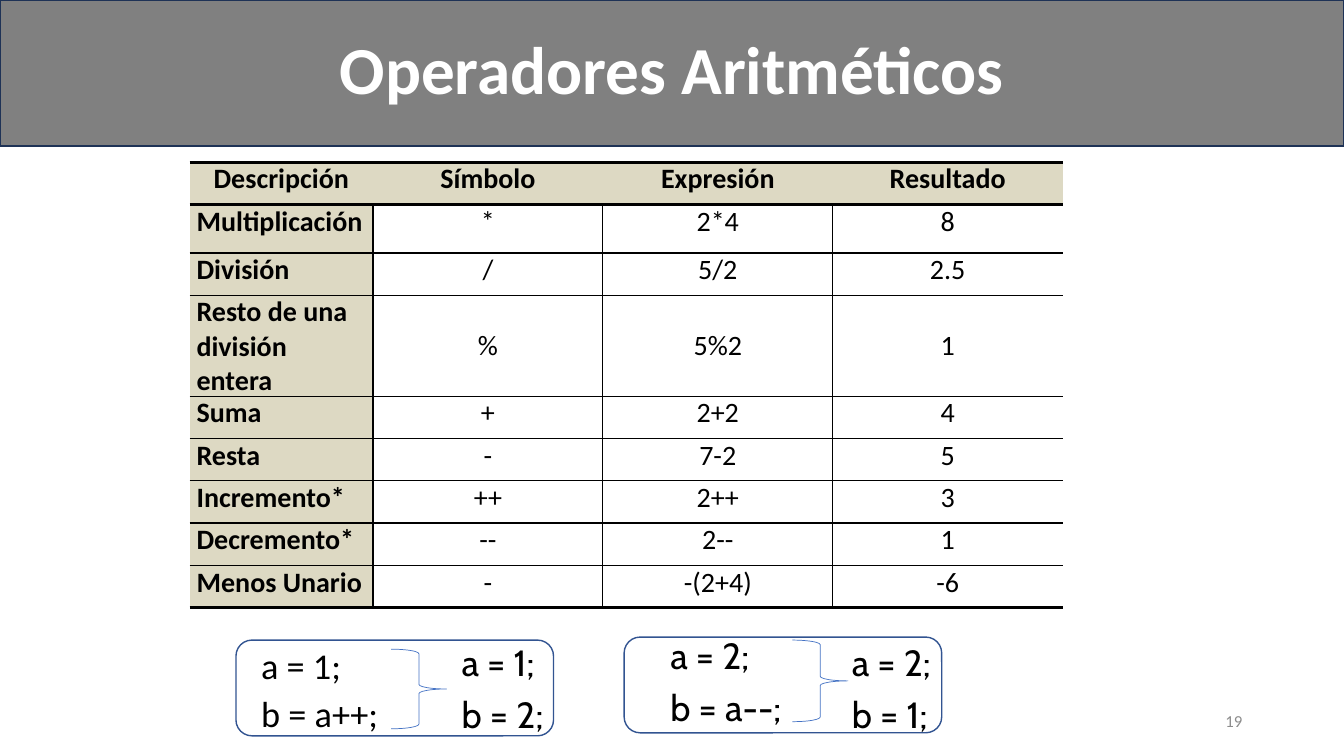
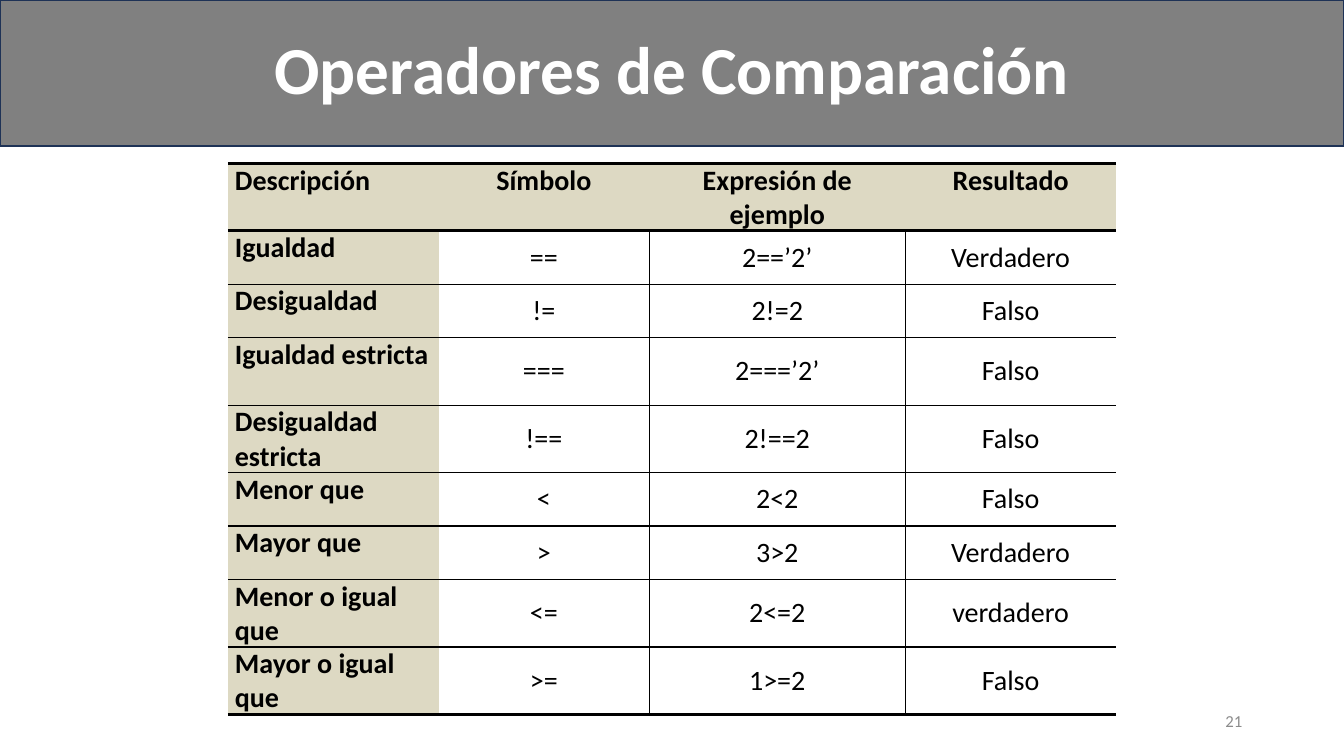
from lxml.etree import SubElement
from pptx import Presentation
from pptx.dml.color import RGBColor
from pptx.enum.shapes import MSO_SHAPE
from pptx.enum.text import MSO_ANCHOR, MSO_AUTO_SIZE, PP_ALIGN
from pptx.oxml.ns import qn
from pptx.util import Emu, Pt

PX = 9144  # 100 px to the inch
WIDTH, HEIGHT = 1333, 750
BAND_HEIGHT = 145

BLACK = RGBColor(0x00, 0x00, 0x00)
WHITE = RGBColor(0xFF, 0xFF, 0xFF)
BAND_GRAY = RGBColor(0x80, 0x80, 0x80)
BAND_EDGE = RGBColor(0x1E, 0x32, 0x56)
HEADER_BEIGE = RGBColor(0xDD, 0xD9, 0xC3)
PANEL_BLUE = RGBColor(0x32, 0x54, 0x91)
BRACE_BLUE = RGBColor(0x44, 0x72, 0xC4)
NUMBER_GRAY = RGBColor(0x8C, 0x8C, 0x8C)

BODY_FONT, CODE_FONT = "Calibri", "Cabin"
THIN, THICK = 1, 2.25
PLAIN_TABLE_STYLE = "{2D5ABB26-0587-4C30-8999-92F81FD0307C}"
TITLE_AND_CONTENT, TITLE_ONLY = 1, 5

ARITHMETIC = [
    ("Descripción", "Símbolo", "Expresión", "Resultado"),
    ("Multiplicación", "*", "2*4", "8"),
    ("División", "/", "5/2", "2.5"),
    ("Resto de una división entera", "%", "5%2", "1"),
    ("Suma", "+", "2+2", "4"),
    ("Resta", "-", "7-2", "5"),
    ("Incremento*", "++", "2++", "3"),
    ("Decremento*", "--", "2--", "1"),
    ("Menos Unario", "-", "-(2+4)", "-6"),
]
COMPARISON = [
    ("Descripción", "Símbolo", "Expresión de ejemplo", "Resultado"),
    ("Igualdad", "==", "2==’2’", "Verdadero"),
    ("Desigualdad", "!=", "2!=2", "Falso"),
    ("Igualdad estricta", "===", "2===’2’", "Falso"),
    ("Desigualdad estricta", "!==", "2!==2", "Falso"),
    ("Menor que", "<", "2<2", "Falso"),
    ("Mayor que", ">", "3>2", "Verdadero"),
    ("Menor o igual que", "<=", "2<=2", "verdadero"),
    ("Mayor o igual que", ">=", "1>=2", "Falso"),
]


def px(*lengths):
    return [Emu(n * PX) for n in lengths]


def place(sp, box):
    sp.left, sp.top, sp.width, sp.height = px(*box)


def write(p, text, size, color=BLACK, font=BODY_FONT, bold=False, align=PP_ALIGN.LEFT):
    p.alignment = align
    r = p.add_run()
    r.text = text
    r.font.name, r.font.size, r.font.bold = font, Pt(size), bold
    r.font.color.rgb = color


def write_lines(tf, lines, size, font, before, spacing=None):
    for i, line in enumerate(lines):
        p = tf.add_paragraph() if i else tf.paragraphs[0]
        p.space_before = Pt(before)
        p.line_spacing = spacing
        write(p, line, size, font=font)


def border(cell, side, width):
    """Draw one cell edge; a width of 0 hides it."""
    ln = SubElement(cell._tc.get_or_add_tcPr(), qn(f"a:ln{side}"), w=str(Pt(width)))
    if width:
        fill = SubElement(ln, qn("a:solidFill"))
        SubElement(fill, qn("a:srgbClr"), val=str(BLACK))
    else:
        SubElement(ln, qn("a:noFill"))


class Deck:
    def __init__(self):
        self.prs = Presentation()
        self.prs.slide_width, self.prs.slide_height = px(WIDTH, HEIGHT)
        self.s = None

    def slide(self, layout, title, number):
        self.s = self.prs.slides.add_slide(self.prs.slide_layouts[layout])
        band = self.s.shapes.title
        place(band, (0, 0, WIDTH, BAND_HEIGHT))
        band.fill.solid()
        band.fill.fore_color.rgb = BAND_GRAY
        band.line.color.rgb = BAND_EDGE
        band.line.width = Pt(1)
        tf = band.text_frame
        tf.auto_size = MSO_AUTO_SIZE.NONE
        tf.vertical_anchor = MSO_ANCHOR.MIDDLE
        p = tf.paragraphs[0]
        p.line_spacing = 0.9
        write(p, title, 48, WHITE, bold=True, align=PP_ALIGN.CENTER)

        tf = self.text_frame((942, 695, 300, 40))
        tf.vertical_anchor = MSO_ANCHOR.MIDDLE
        write(tf.paragraphs[0], str(number), 12, NUMBER_GRAY, align=PP_ALIGN.RIGHT)

    def text_frame(self, box):
        tf = self.s.shapes.add_textbox(*px(*box)).text_frame
        tf.word_wrap = True
        return tf

    def outline(self, kind, box, color, width):
        sp = self.s.shapes.add_shape(kind, *px(*box))
        sp.shadow.inherit = False
        sp.fill.background()
        sp.line.color.rgb = color
        sp.line.width = Pt(width)

    def code(self, box, lines):
        write_lines(self.text_frame(box), lines, 26, CODE_FONT, before=6)

    def body(self, box, lines):
        sp = self.s.placeholders[1]
        place(sp, box)
        tf = sp.text_frame
        tf.auto_size = MSO_AUTO_SIZE.NONE
        write_lines(tf, lines, 25.9, BODY_FONT, before=10, spacing=0.8)
        for p in tf.paragraphs:
            pPr = p._p.get_or_add_pPr()
            pPr.set("marL", "0")
            pPr.set("indent", "0")
            SubElement(pPr, qn("a:buNone"))

    def table(self, left, top, cols, heights, rows, middle_rows, first_align, first_rule):
        """first_rule is the width of the line right of the first column."""
        box = px(left, top, sum(cols), sum(heights))
        tbl = self.s.shapes.add_table(len(rows), len(cols), *box).table
        tbl.first_row = tbl.horz_banding = False
        tbl._tbl.tblPr.find(qn("a:tableStyleId")).text = PLAIN_TABLE_STYLE
        for column, width in zip(tbl.columns, px(*cols)):
            column.width = width
        for row, height in zip(tbl.rows, px(*heights)):
            row.height = height

        last = len(rows) - 1
        verticals = [0, first_rule] + [THIN] * (len(cols) - 2) + [0]
        horizontals = [THICK, THICK] + [THIN] * (last - 1) + [THICK]
        for i, texts in enumerate(rows):
            for j, text in enumerate(texts):
                cell = tbl.cell(i, j)
                border(cell, "L", verticals[j] if i else 0)
                border(cell, "R", verticals[j + 1] if i else 0)
                border(cell, "T", horizontals[i])
                border(cell, "B", horizontals[i + 1])
                label = i == 0 or j == 0
                if label:
                    cell.fill.solid()
                    cell.fill.fore_color.rgb = HEADER_BEIGE
                else:
                    cell.fill.background()
                cell.margin_left, cell.margin_right = px(7, 7)
                cell.margin_top = cell.margin_bottom = 0
                if j and i in middle_rows:
                    cell.vertical_anchor = MSO_ANCHOR.MIDDLE
                if j:
                    align = PP_ALIGN.CENTER
                else:
                    align = PP_ALIGN.LEFT if i else first_align
                write(cell.text_frame.paragraphs[0], text, 20, bold=label, align=align)


def arithmetic_slide(deck):
    deck.slide(TITLE_AND_CONTENT, "Operadores Aritméticos", 19)
    deck.table(188, 161, [182, 228, 228, 228], [42, 48, 42, 100] + [42] * 5,
               ARITHMETIC, middle_rows=[3], first_align=PP_ALIGN.CENTER,
               first_rule=THIN)
    for left, top in ((234, 635), (619, 632)):
        deck.outline(MSO_SHAPE.ROUNDED_RECTANGLE, (left, top, 315, 95), PANEL_BLUE, 1)
    for left, top, height in ((388, 644, 79), (786, 635, 81)):
        deck.outline(MSO_SHAPE.RIGHT_BRACE, (left, top, 55, height), BRACE_BLUE, 0.5)
    deck.body((249, 641, 173, 95), ["a = 1;", "b = a++;"])
    for left, top, lines in (
        (448, 630, ["a = 1;", "b = 2;"]),
        (655, 623, ["a = 2;", "b = a--;"]),
        (835, 630, ["a = 2;", "b = 1;"]),
    ):
        deck.code((left, top, 173, 95), lines)


def comparison_slide(deck):
    deck.slide(TITLE_ONLY, "Operadores de Comparación", 21)
    deck.table(226, 162, [209, 209, 254, 209], [67, 53, 53, 67, 67, 53, 53, 67, 67],
               COMPARISON, middle_rows=range(1, len(COMPARISON)),
               first_align=PP_ALIGN.JUSTIFY, first_rule=0)


def main():
    deck = Deck()
    arithmetic_slide(deck)
    comparison_slide(deck)
    deck.prs.save("out.pptx")


if __name__ == "__main__":
    main()
